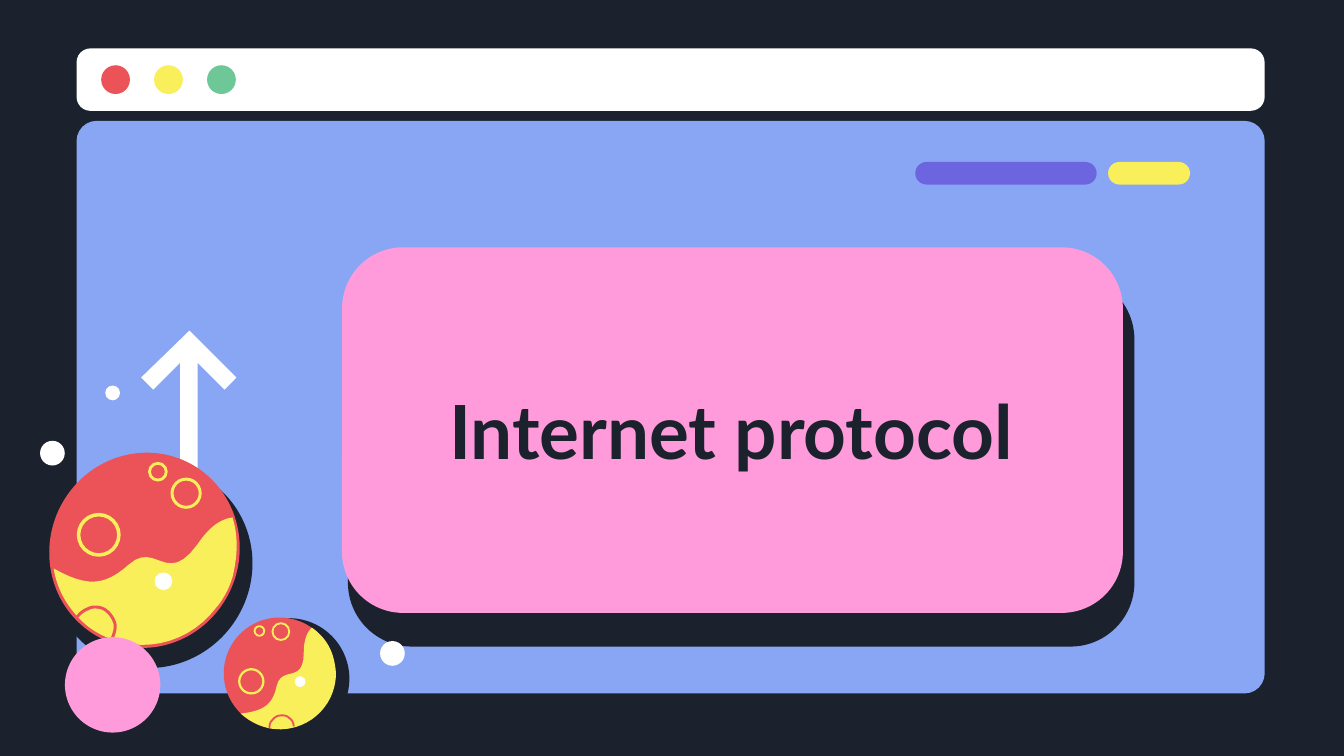
"""Build the "Internet protocol" section slide: a browser window with planets."""
import pptx
import pptx.dml.color
import pptx.enum.shapes
import pptx.enum.text
import pptx.util

NAVY = pptx.dml.color.RGBColor(0x1B, 0x22, 0x2D)
BLUE = pptx.dml.color.RGBColor(0x88, 0xA6, 0xF3)
WHITE = pptx.dml.color.RGBColor(0xFF, 0xFF, 0xFF)
RED = pptx.dml.color.RGBColor(0xEB, 0x53, 0x58)
YELLOW = pptx.dml.color.RGBColor(0xF8, 0xEF, 0x5B)
GREEN = pptx.dml.color.RGBColor(0x6D, 0xC7, 0x97)
PURPLE = pptx.dml.color.RGBColor(0x6D, 0x65, 0xE0)
PINK = pptx.dml.color.RGBColor(0xFF, 0x9B, 0xDA)
OVAL = pptx.enum.shapes.MSO_SHAPE.OVAL
ROUNDED = pptx.enum.shapes.MSO_SHAPE.ROUNDED_RECTANGLE

deck = pptx.Presentation()
deck.slide_width = pptx.util.Inches(10)
deck.slide_height = pptx.util.Inches(5.625)
CELL = deck.slide_width // 100
page = deck.slides.add_slide(deck.slide_layouts[6])
page.background.fill.solid()
page.background.fill.fore_color.rgb = NAVY


def paint(shape, fill=None, line=None, weight=1):
    shape.shadow.inherit = False
    if fill is None:
        shape.fill.background()
    else:
        shape.fill.solid()
        shape.fill.fore_color.rgb = fill
    if line is None:
        shape.line.fill.background()
    else:
        shape.line.color.rgb = line
        shape.line.width = pptx.util.Pt(weight)


def trace(start, curves, close, steps=12):
    points = [start]
    for x1, y1, x2, y2, x3, y3 in curves:
        x0, y0 = points[-1]
        for step in range(1, steps + 1):
            t = step / steps
            a, b, c, d = (1 - t) ** 3, 3 * t * (1 - t) ** 2, 3 * t * t * (1 - t), t ** 3
            points.append((a * x0 + b * x1 + c * x2 + d * x3, a * y0 + b * y1 + c * y2 + d * y3))
    points = [(x * CELL, y * CELL) for x, y in points]
    builder = page.shapes.build_freeform(*points[0])
    builder.add_line_segments(points[1:], close=close)
    return builder.convert_to_shape()


panels = [
    (5.7, 9, 88.4, 42.6, 0.035, BLUE, None),
    (5.7, 3.6, 88.4, 4.65, 0.223, WHITE, None),
    (68.1, 12.05, 13.5, 1.68, 0.5, PURPLE, None),
    (82.45, 12.05, 6.1, 1.68, 0.5, YELLOW, None),
    (26.1, 20.7, 58.1, 27.2, 0.167, NAVY, NAVY),
    (25.45, 18.4, 58.1, 27.2, 0.167, PINK, None),
]
for left, top, width, height, corner, fill, line in panels:
    panel = page.shapes.add_shape(
        ROUNDED, *(int(n * CELL) for n in (left, top, width, height)))
    panel.adjustments[0] = corner
    paint(panel, fill, line, 3)

box = page.shapes.add_textbox(*(int(n * CELL) for n in (30.9, 27.4, 47, 9.2)))
frame = box.text_frame
frame.word_wrap = True
frame.vertical_anchor = pptx.enum.text.MSO_ANCHOR.MIDDLE
frame.margin_left = frame.margin_right = frame.margin_top = frame.margin_bottom = CELL
para = frame.paragraphs[0]
para.text = "Internet protocol"
para.alignment = pptx.enum.text.PP_ALIGN.CENTER
para.font.name = "Lato"
para.font.size = pptx.util.Pt(40)
para.font.bold = True
para.font.color.rgb = NAVY

arrow_points = [(13.4, 42.9), (13.4, 27), (11.4, 29), (10.5, 28.1), (14.1, 24.6),
                (17.6, 28.1), (16.7, 29), (14.7, 27), (14.7, 42.9)]
arrow = page.shapes.build_freeform(*(n * CELL for n in arrow_points[0]))
arrow.add_line_segments([(x * CELL, y * CELL) for x, y in arrow_points[1:]])
paint(arrow.convert_to_shape(), WHITE)

large_planet = {
    "discs": [(11.3, 42.15, 14.8, 15.3, 36.7, NAVY), (10.75, 40.95, 14.1, 14.6, 22.6, RED)],
    "craters": [(13.85, 36.7, 2.1, 1.6), (7.35, 39.8, 3, 1.9), (11.75, 35.1, 1.25, 1.5)],
    "wave_start": (17.3, 38.5),
    "wave": [
        (17.7, 39.8, 17.7, 41.1, 17.4, 42.5), (17.3, 43.2, 16.8, 44.4, 16.1, 45.2),
        (14.3, 47.6, 11.2, 48.6, 8.4, 47.6), (7.3, 47.2, 6.5, 46.7, 5.7, 45.8),
        (4.8, 44.8, 4.2, 43.6, 4, 42.3), (6.5, 43.7, 7.8, 43.6, 9.6, 42),
        (11.6, 40.2, 12.4, 43.7, 14.7, 40.5), (15.7, 39, 16.6, 38.6, 17.3, 38.5)],
    "rim_start": (5.75, 45.9),
    "rim": [
        (6, 45.6, 6.25, 45.4, 6.55, 45.3), (6.9, 45.1, 7.35, 45.15, 7.7, 45.3),
        (8.05, 45.5, 8.35, 45.85, 8.5, 46.25), (8.65, 46.6, 8.55, 47, 8.35, 47.5)],
    "rim_weight": 1.6,
}
small_planet = {
    "discs": [(21.5, 50.5, 9, 9, 1.5, NAVY), (20.8, 50.1, 8.3, 8.3, 347.4, RED)],
    "craters": [(20.9, 47, 1.25, 1), (18.7, 50.7, 1.8, 1.2), (19.3, 46.95, 0.72, 1)],
    "wave_start": (23.2, 46.7),
    "wave": [
        (23.9, 47.2, 24.4, 47.8, 24.7, 48.6), (24.9, 49.2, 25, 49.8, 25, 50.3),
        (24.9, 52.1, 23.7, 53.6, 22, 54.1), (20.6, 54.5, 19.2, 54.2, 17.9, 53.1),
        (19.7, 52.9, 20.3, 52.4, 20.6, 51), (21, 49.5, 22.6, 50.9, 22.6, 48.6),
        (22.6, 47.5, 22.9, 47, 23.2, 46.7)],
    "rim_start": (20.05, 54.2),
    "rim": [
        (20.05, 53.9, 20.1, 53.75, 20.25, 53.6), (20.35, 53.45, 20.6, 53.25, 20.8, 53.25),
        (21.1, 53.2, 21.35, 53.25, 21.55, 53.45), (21.75, 53.6, 21.85, 53.8, 21.85, 54.05)],
    "rim_weight": 1,
}
for planet in (large_planet, small_planet):
    for x, y, width, height, turn, fill in planet["discs"]:
        disc = page.shapes.add_shape(
            OVAL, *(int(n * CELL) for n in (x - width / 2, y - height / 2, width, height)))
        disc.rotation = turn
        paint(disc, fill)
    for x, y, size, weight in planet["craters"]:
        crater = page.shapes.add_shape(
            OVAL, *(int(n * CELL) for n in (x - size / 2, y - size / 2, size, size)))
        paint(crater, line=YELLOW, weight=weight)
    paint(trace(planet["wave_start"], planet["wave"], True), YELLOW)
    paint(trace(planet["rim_start"], planet["rim"], False), line=RED, weight=planet["rim_weight"])

dots = [(8.6 + 3.94 * index, 5.93, 2.14, fill) for index, fill in enumerate((RED, YELLOW, GREEN))]
dots += [(8.38, 50.96, 7.1, PINK), (3.9, 33.72, 1.84, WHITE), (29.2, 48.62, 1.84, WHITE),
         (8.38, 29.24, 1.1, WHITE), (12.16, 43.25, 1.32, WHITE), (22.33, 50.72, 0.8, WHITE)]
for x, y, size, fill in dots:
    dot = page.shapes.add_shape(
        OVAL, *(int(n * CELL) for n in (x - size / 2, y - size / 2, size, size)))
    paint(dot, fill)

deck.save("out.pptx")
